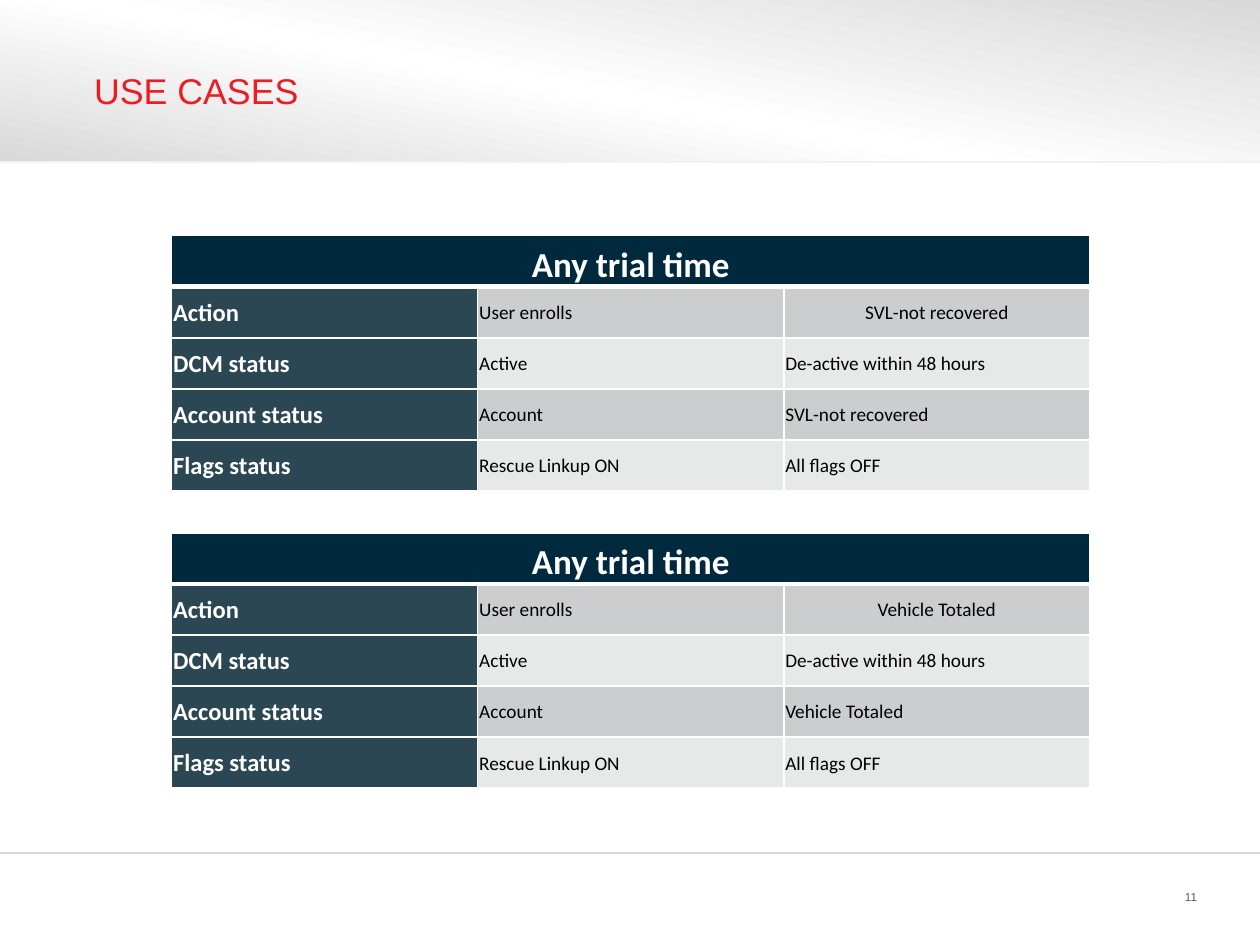
"""Build the use-cases slide with two trial-time status tables."""
import copy

import lxml.etree
import pptx
import pptx.dml.color
import pptx.enum.shapes
import pptx.enum.text
import pptx.oxml.ns
import pptx.util

Cm = pptx.util.Cm
Pt = pptx.util.Pt
RGBColor = pptx.dml.color.RGBColor
ALIGN = pptx.enum.text.PP_ALIGN
ANCHOR = pptx.enum.text.MSO_ANCHOR
qn = pptx.oxml.ns.qn

WHITE = RGBColor(0xFF, 0xFF, 0xFF)
BLACK = RGBColor(0x00, 0x00, 0x00)
RED = RGBColor(0xED, 0x1C, 0x24)
SLATE = RGBColor(0x58, 0x59, 0x5B)
SILVER = RGBColor(0xD9, 0xD9, 0xD9)
PALE = RGBColor(0xF2, 0xF2, 0xF2)
NAVY = RGBColor(0x00, 0x29, 0x3E)
TEAL = RGBColor(0x2B, 0x47, 0x54)
BANDS = (RGBColor(0xCC, 0xCD, 0xCE), RGBColor(0xE7, 0xE8, 0xE8))

SLIDE_WIDTH, SLIDE_HEIGHT = Cm(25.4), Cm(19.05)
COLUMN_WIDTH, ROW_HEIGHT = Cm(6.17), Cm(1.03)
TABLE_LEFT = Cm(3.46)
TABLE_TOPS = (Cm(4.75), Cm(10.74))
OUTCOMES = ("SVL-not recovered", "Vehicle Totaled")


def status_rows(outcome):
    """Return the body rows for one outcome."""
    return (
        ("Action", "User enrolls", outcome),
        ("DCM status", "Active", "De-active within 48 hours"),
        ("Account status", "Account", outcome),
        ("Flags status", "Rescue Linkup ON", "All flags OFF"),
    )


def write(paragraph, wording, size, color, font, bold=False, align=ALIGN.LEFT):
    """Add one formatted run to a paragraph."""
    paragraph.alignment = align
    run = paragraph.add_run()
    run.text = wording
    run.font.size = Pt(size)
    run.font.name = font
    run.font.bold = bold
    run.font.color.rgb = color


def add_label(slide, box, wording, size, color, align=ALIGN.LEFT, inset=0):
    """Add a vertically centred line of text."""
    frame = slide.shapes.add_textbox(*box).text_frame
    frame.word_wrap = True
    frame.vertical_anchor = ANCHOR.MIDDLE
    frame.margin_left = frame.margin_right = inset
    frame.margin_top = frame.margin_bottom = 0
    write(frame.paragraphs[0], wording, size, color, "Arial", align=align)


def add_banner(slide):
    """Add the gradient band across the top."""
    banner = slide.shapes.add_shape(
        pptx.enum.shapes.MSO_SHAPE.RECTANGLE, 0, 0, SLIDE_WIDTH, Cm(3.25))
    banner.shadow.inherit = False
    banner.line.fill.background()
    banner.fill.gradient()
    banner.fill.gradient_angle = 260
    stop_list = next(banner.element.iter(qn("a:gsLst")))
    stop_list.append(copy.deepcopy(stop_list[-1]))
    shades = ((0, SILVER), (0.55, WHITE), (1, SILVER))
    for stop, (position, color) in zip(banner.fill.gradient_stops, shades):
        stop.position = position
        stop.color.rgb = color


def add_rule(slide, top, color):
    """Add a full-width horizontal rule."""
    rule = slide.shapes.add_connector(
        pptx.enum.shapes.MSO_CONNECTOR.STRAIGHT, 0, top, SLIDE_WIDTH, top)
    rule.line.color.rgb = color
    rule.line.width = Pt(1)
    lxml.etree.SubElement(rule.element.spPr, qn("a:effectLst"))


def set_borders(cell, top=1, bottom=1):
    """Draw white borders around a cell, widths in points."""
    properties = cell._tc.get_or_add_tcPr()
    sides = (("L", 1), ("R", 1), ("T", top), ("B", bottom))
    for position, (side, width) in enumerate(sides):
        border = lxml.etree.Element(qn(f"a:ln{side}"), w=str(Pt(width)))
        fill = lxml.etree.SubElement(border, qn("a:solidFill"))
        lxml.etree.SubElement(fill, qn("a:srgbClr"), val=str(WHITE))
        properties.insert(position, border)


def style_cell(cell, fill, anchor=ANCHOR.MIDDLE):
    """Set the fill, insets and anchor of a cell."""
    cell.fill.solid()
    cell.fill.fore_color.rgb = fill
    cell.margin_left = cell.margin_right = cell.margin_top = Cm(0.03)
    cell.margin_bottom = 0
    cell.vertical_anchor = anchor


def add_status_table(slide, top, outcome):
    """Add a table with a merged heading and banded body rows."""
    body = status_rows(outcome)
    row_count = len(body) + 1
    table = slide.shapes.add_table(
        row_count, 3, TABLE_LEFT, top,
        COLUMN_WIDTH * 3, ROW_HEIGHT * row_count).table
    for column in table.columns:
        column.width = COLUMN_WIDTH
    for row in table.rows:
        row.height = ROW_HEIGHT

    for heading in table.rows[0].cells:
        style_cell(heading, NAVY, ANCHOR.BOTTOM)
        set_borders(heading, bottom=3)
    table.cell(0, 0).merge(table.cell(0, 2))
    write(table.cell(0, 0).text_frame.paragraphs[0], "Any trial time",
          20, WHITE, "Calibri", True, ALIGN.CENTER)

    for r, entries in enumerate(body, start=1):
        for c, entry in enumerate(entries):
            cell = table.cell(r, c)
            is_label = c == 0
            style_cell(cell, TEAL if is_label else BANDS[(r - 1) % 2])
            set_borders(cell, top=3 if r == 1 else 1)
            write(cell.text_frame.paragraphs[0], entry,
                  14 if is_label else 11, WHITE if is_label else BLACK,
                  "Calibri", is_label,
                  ALIGN.CENTER if (r, c) == (1, 2) else ALIGN.LEFT)


def main():
    """Assemble and save the slide."""
    deck = pptx.Presentation()
    deck.slide_width, deck.slide_height = SLIDE_WIDTH, SLIDE_HEIGHT
    slide = deck.slides.add_slide(deck.slide_layouts[6])
    add_banner(slide)
    add_rule(slide, Cm(3.27), PALE)
    add_rule(slide, Cm(17.2), SILVER)
    add_label(slide, (Cm(22.66), Cm(17.81), Cm(1.47), Cm(0.56)),
              "11", 6.6, SLATE, ALIGN.RIGHT)
    add_label(slide, (Cm(1.52), Cm(0.38), Cm(22.35), Cm(2.87)),
              "USE CASES", 20.4, RED, inset=Cm(0.38))
    for top, outcome in zip(TABLE_TOPS, OUTCOMES):
        add_status_table(slide, top, outcome)
    deck.save("out.pptx")


if __name__ == "__main__":
    main()
